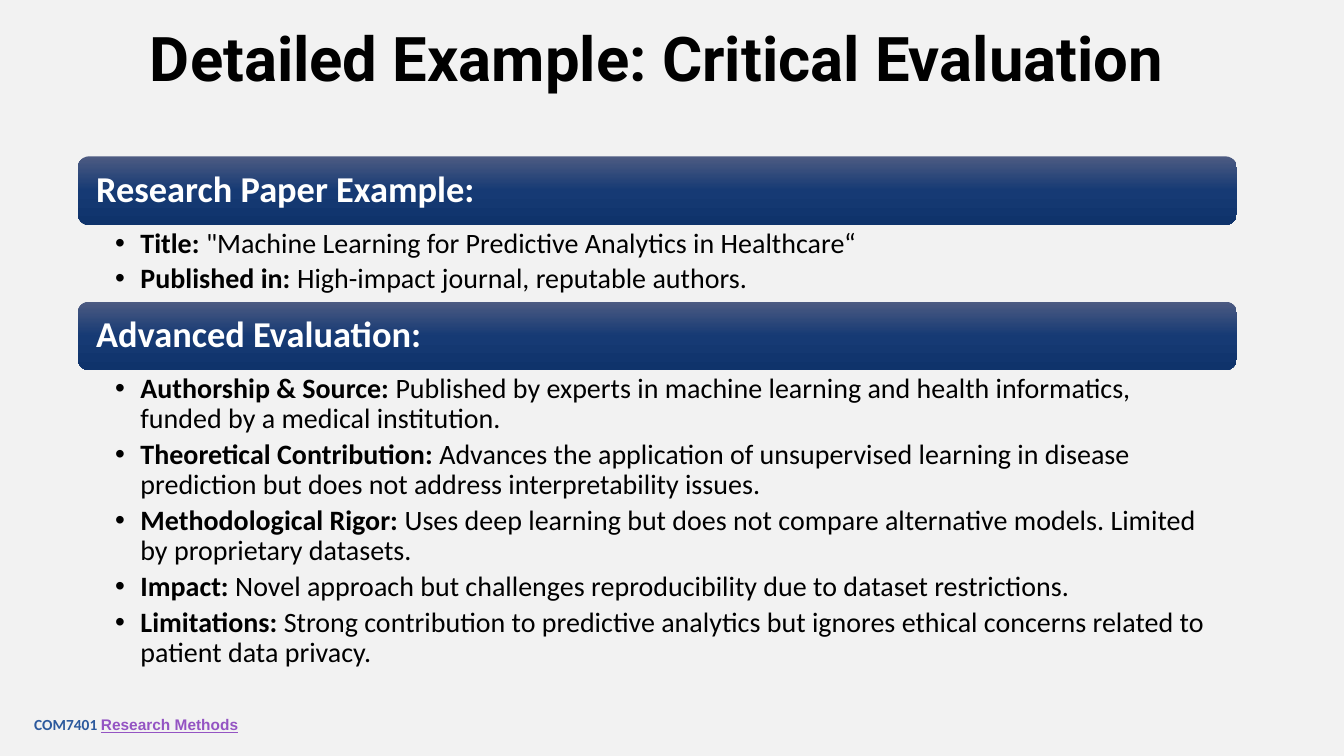
from copy import deepcopy

from lxml.etree import SubElement
from pptx import Presentation
from pptx.dml.color import RGBColor
from pptx.enum.shapes import MSO_SHAPE
from pptx.enum.text import MSO_ANCHOR, PP_ALIGN
from pptx.oxml.ns import qn
from pptx.util import Cm, Pt

BACKGROUND = RGBColor(0xF2, 0xF2, 0xF2)
BLACK = RGBColor(0x00, 0x00, 0x00)
WHITE = RGBColor(0xFF, 0xFF, 0xFF)
COURSE_BLUE = RGBColor(0x2C, 0x59, 0x9D)
COURSE_PURPLE = RGBColor(0x94, 0x54, 0xC3)
BAR_GRADIENT = (
    (0, RGBColor(0x4D, 0x5B, 0x82)),
    (0.5, RGBColor(0x16, 0x3A, 0x74)),
    (1, RGBColor(0x0F, 0x33, 0x6B)),
)

BAR_HEIGHT = Cm(1.73)
BULLET_INDENT = Cm(0.64)

SECTIONS = (
    ("Research Paper Example:", Cm(1.93), (
        ("Title: ", '"Machine Learning for Predictive Analytics in Healthcare“'),
        ("Published in: ", "High-impact journal, reputable authors."),
    )),
    ("Advanced Evaluation:", Cm(7.92), (
        ("Authorship & Source: ",
         "Published by experts in machine learning and health informatics, "
         "funded by a medical institution."),
        ("Theoretical Contribution: ",
         "Advances the application of unsupervised learning in disease "
         "prediction but does not address interpretability issues."),
        ("Methodological Rigor: ",
         "Uses deep learning but does not compare alternative models. "
         "Limited by proprietary datasets."),
        ("Impact: ",
         "Novel approach but challenges reproducibility due to dataset restrictions."),
        ("Limitations: ",
         "Strong contribution to predictive analytics but ignores ethical "
         "concerns related to patient data privacy."),
    )),
)


def add_text(paragraph, text, *, size, font="Calibri", color=BLACK, bold=True,
             underline=False):
    run = paragraph.add_run()
    run.text = text
    run.font.size = Pt(size)
    run.font.name = font
    run.font.color.rgb = color
    run.font.bold = bold
    run.font.underline = underline


def set_frame(frame, anchor, margins=None):
    frame.word_wrap = True
    frame.vertical_anchor = anchor
    if margins:
        (frame.margin_left, frame.margin_top,
         frame.margin_right, frame.margin_bottom) = margins


def add_title(slide, left, top, width, height):
    frame = slide.shapes.add_textbox(left, top, width, height).text_frame
    set_frame(frame, MSO_ANCHOR.MIDDLE)
    heading = frame.paragraphs[0]
    heading.alignment = PP_ALIGN.CENTER
    heading.line_spacing = 0.9
    add_text(heading, "Detailed Example: Critical Evaluation", size=44, font="Roboto")


def add_section_bar(slide, heading, left, top, width, height):
    bar = slide.shapes.add_shape(MSO_SHAPE.ROUNDED_RECTANGLE, left, top, width, height)
    bar.shadow.inherit = False
    bar.line.fill.background()

    # Three-stop gradient running from top to bottom
    bar.fill.gradient()
    bar.fill.gradient_angle = 270
    stop_list = bar.element.spPr.find(qn("a:gradFill")).find(qn("a:gsLst"))
    stop_list.append(deepcopy(stop_list[0]))
    for stop, (position, color) in zip(bar.fill.gradient_stops, BAR_GRADIENT):
        stop.position = position
        stop.color.rgb = color

    set_frame(bar.text_frame, MSO_ANCHOR.MIDDLE, (Cm(0.38),) * 4)
    paragraph = bar.text_frame.paragraphs[0]
    paragraph.alignment = PP_ALIGN.LEFT
    paragraph.line_spacing = 0.9
    add_text(paragraph, heading, size=26, color=WHITE)


def add_bullets(slide, points, left, top, width, height):
    frame = slide.shapes.add_textbox(left, top, width, height).text_frame
    set_frame(frame, MSO_ANCHOR.TOP, (Cm(0.94), Cm(0.1), Cm(0.51), Cm(0.1)))
    for index, (label, detail) in enumerate(points):
        point = frame.add_paragraph() if index else frame.paragraphs[0]
        point.level = 1
        point.line_spacing = 0.9
        point.space_after = Pt(4)
        properties = point._p.get_or_add_pPr()
        properties.set("marL", str(BULLET_INDENT))
        properties.set("indent", str(-BULLET_INDENT))
        SubElement(properties, qn("a:buFont")).set("typeface", "Arial")
        SubElement(properties, qn("a:buChar")).set("char", "•")
        add_text(point, label, size=20)
        add_text(point, detail, size=20, bold=False)


def add_sections(slide, left, top, width):
    for heading, list_height, points in SECTIONS:
        add_section_bar(slide, heading, left, top, width, BAR_HEIGHT)
        top += BAR_HEIGHT
        add_bullets(slide, points, left, top, width, list_height)
        top += list_height


def add_course_footer(slide, left, top, width, height):
    frame = slide.shapes.add_textbox(left, top, width, height).text_frame
    set_frame(frame, MSO_ANCHOR.MIDDLE)
    course = frame.paragraphs[0]
    add_text(course, "COM7401 ", size=11, color=COURSE_BLUE)
    add_text(course, "Research Methods", size=11, font="Arial",
             color=COURSE_PURPLE, underline=True)


def main():
    presentation = Presentation()
    presentation.slide_width = Cm(33.87)
    presentation.slide_height = Cm(19.05)
    slide = presentation.slides.add_slide(presentation.slide_layouts[6])
    slide.background.fill.solid()
    slide.background.fill.fore_color.rgb = BACKGROUND

    add_course_footer(slide, Cm(0.61), Cm(17.75), Cm(11.43), Cm(1.02))
    add_title(slide, Cm(1.96), Cm(0.58), Cm(29.21), Cm(1.96))
    add_sections(slide, Cm(1.96), Cm(3.94), Cm(29.21))
    presentation.save("out.pptx")


if __name__ == "__main__":
    main()
